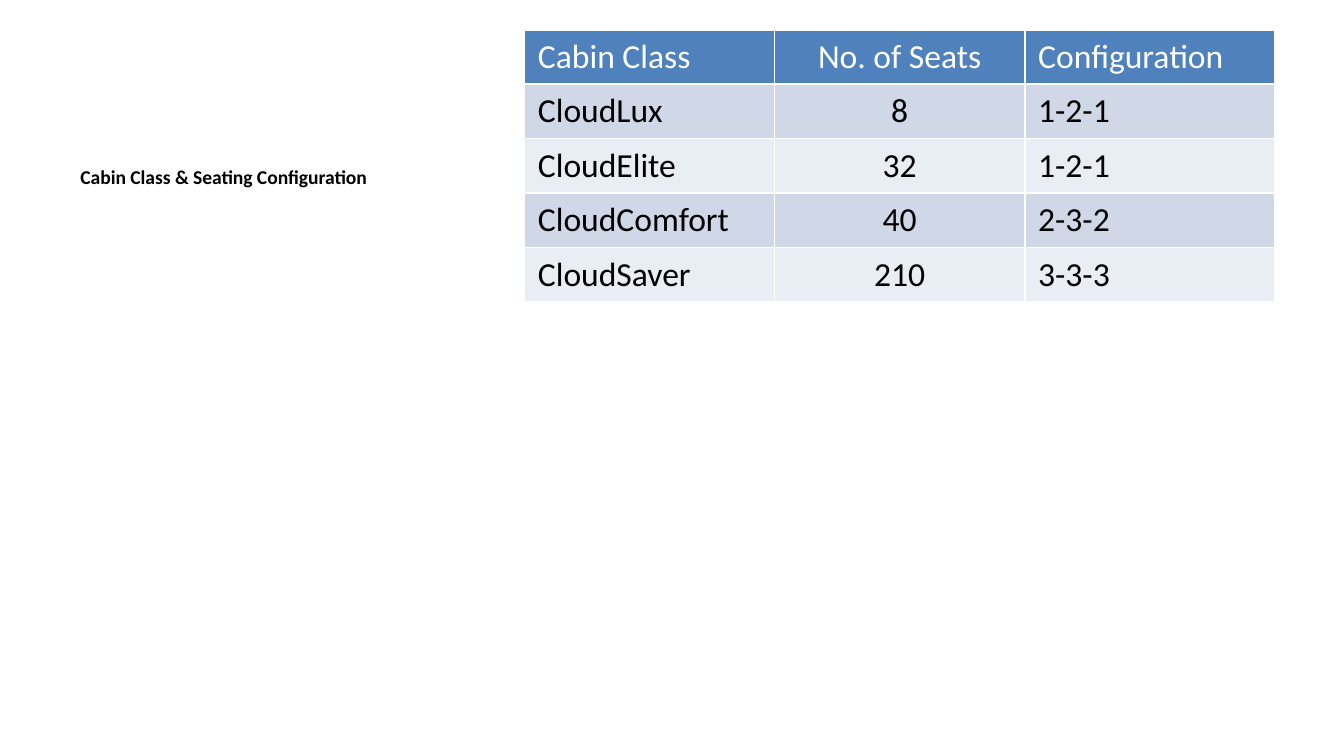
from pptx import Presentation
from pptx.dml.color import RGBColor
from pptx.enum.text import PP_ALIGN as Align
from pptx.util import Pt

WHITE = RGBColor(0xFF, 0xFF, 0xFF)
BLACK = RGBColor(0x00, 0x00, 0x00)
HEADER_BLUE = RGBColor(0x4F, 0x81, 0xBD)
BANDS = (RGBColor(0xE9, 0xED, 0xF4), RGBColor(0xD0, 0xD8, 0xE8))

CABINS = [
    ("Cabin Class", "No. of Seats", "Configuration"),
    ("CloudLux", "8", "1-2-1"),
    ("CloudElite", "32", "1-2-1"),
    ("CloudComfort", "40", "2-3-2"),
    ("CloudSaver", "210", "3-3-3"),
]
ALIGNS = (Align.LEFT, Align.CENTER, Align.LEFT)
COL_WIDTH, ROW_HEIGHT = Pt(134), Pt(29.16)


def write(tf, text, color, align=Align.LEFT, **font):
    p = tf.paragraphs[0]
    p.alignment = align
    r = p.add_run()
    r.text = text
    r.font.color.rgb = color
    for name, value in {"name": "Calibri", **font}.items():
        setattr(r.font, name, value)


def add_heading(s, text, left, top, width, height):
    tf = s.shapes.add_textbox(left, top, width, height).text_frame
    tf.word_wrap = True
    write(tf, text, BLACK, size=Pt(10.5), bold=True)


def add_cabin_table(s, rows, left, top):
    # The default table style supplies the white cell borders
    table = s.shapes.add_table(len(rows), len(ALIGNS), left, top,
                               COL_WIDTH * len(ALIGNS),
                               ROW_HEIGHT * len(rows)).table
    for col in table.columns:
        col.width = COL_WIDTH
    for i, row in enumerate(rows):
        table.rows[i].height = ROW_HEIGHT
        for j, text in enumerate(row):
            cell = table.cell(i, j)
            cell.fill.solid()
            cell.fill.fore_color.rgb = BANDS[i % 2] if i else HEADER_BLUE
            write(cell.text_frame, text, BLACK if i else WHITE, ALIGNS[j],
                  size=Pt(18), bold=False)


def main():
    prs = Presentation()
    prs.slide_width, prs.slide_height = Pt(720), Pt(405)
    s = prs.slides.add_slide(prs.slide_layouts[6])

    # Heading on the left, seating table on the right
    add_heading(s, "Cabin Class & Seating Configuration",
                Pt(36), Pt(85), Pt(237), Pt(277))
    add_cabin_table(s, CABINS, Pt(281), Pt(16))

    prs.save("out.pptx")


if __name__ == "__main__":
    main()
